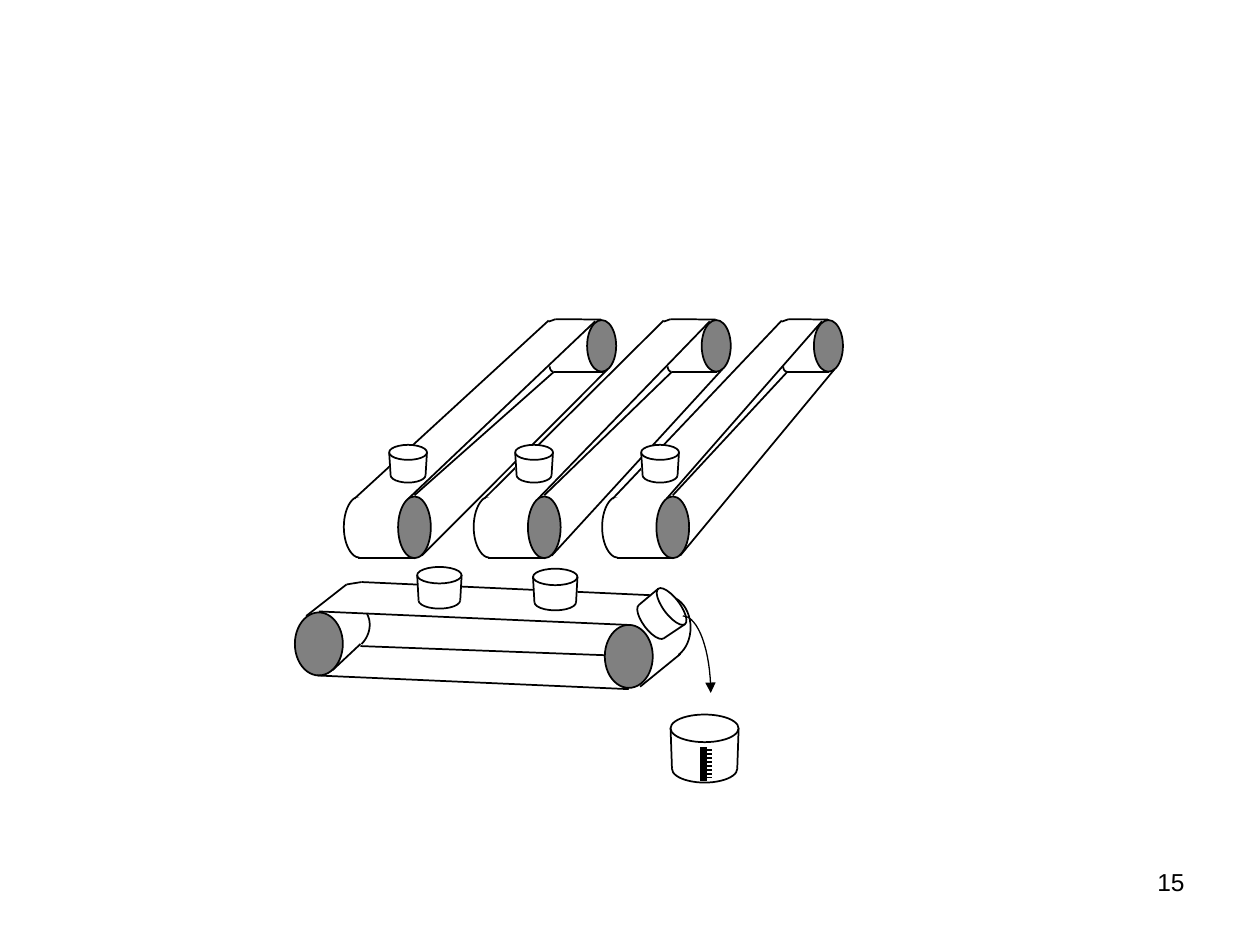
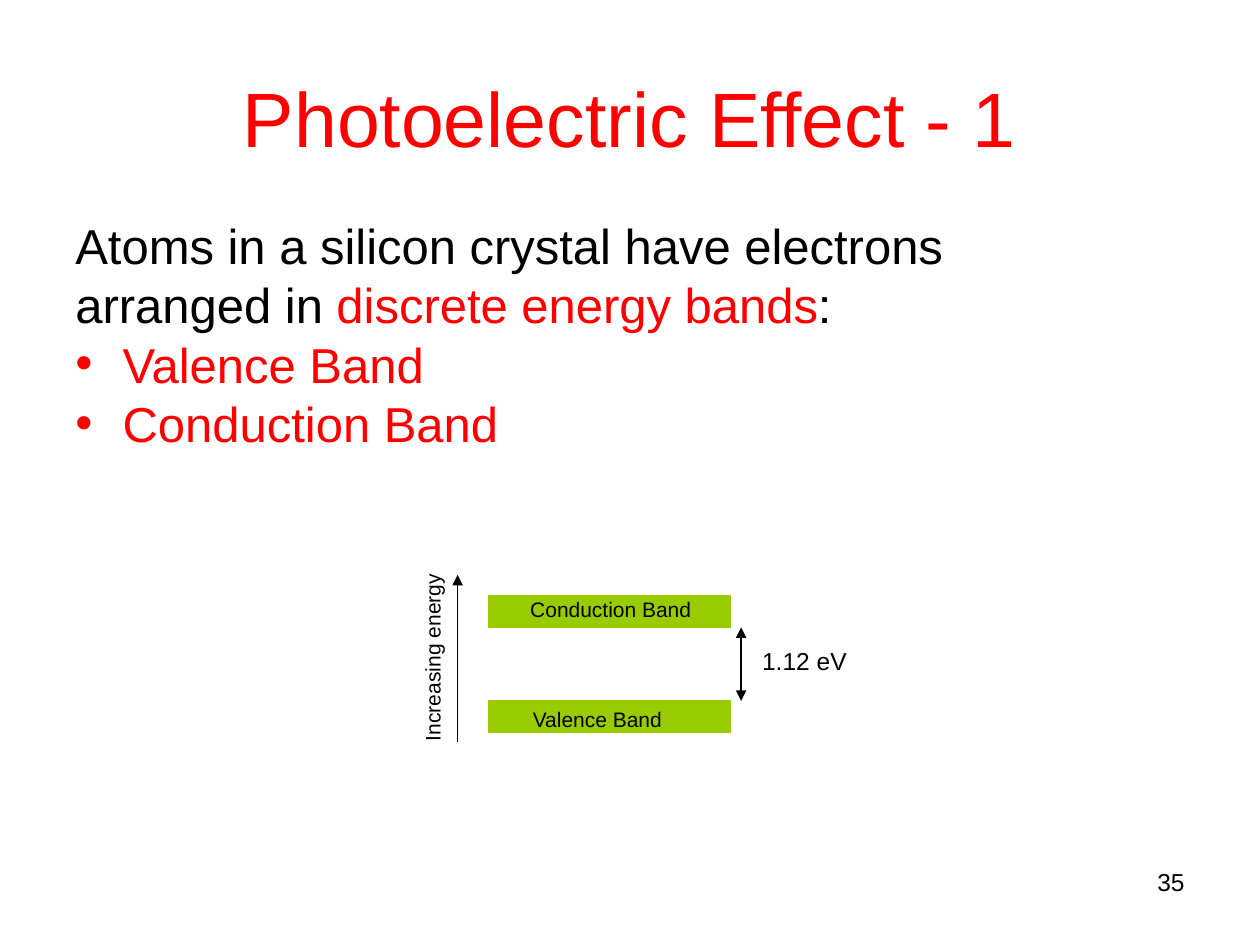
import dataclasses
import math
import typing

import lxml.etree
import pptx
import pptx.dml.color
import pptx.enum.shapes
import pptx.enum.text
import pptx.oxml.ns
import pptx.util

Pt = pptx.util.Pt
Align = pptx.enum.text.PP_ALIGN
Anchor = pptx.enum.text.MSO_ANCHOR
Preset = pptx.enum.shapes.MSO_SHAPE
Point = tuple[float, float]


@dataclasses.dataclass(frozen=True)
class Theme:
    font: str = "Arial"
    black: str = "000000"
    white: str = "FFFFFF"
    wheel: str = "808080"
    accent: str = "FF0000"
    band: str = "99CC00"
    title_size: float = 44
    body_size: float = 28
    number_size: float = 14
    label_size: float = 12
    outline: float = 1
    thin: float = 0.75


THEME = Theme()


@dataclasses.dataclass(frozen=True)
class Form:
    preset: typing.Any
    x: float
    y: float
    width: float
    height: float
    fill: str | None = None
    line: str | None = THEME.black
    weight: float = THEME.outline
    rotation: float = 0


@dataclasses.dataclass(frozen=True)
class Stroke:
    start: Point
    end: Point
    weight: float = THEME.outline
    head: bool = False
    tail: bool = False


@dataclasses.dataclass(frozen=True)
class Curve:
    controls: tuple[Point, Point, Point, Point]
    weight: float = THEME.outline
    tail: bool = False


@dataclasses.dataclass(frozen=True)
class Belt:
    front: float
    rear: float
    far: float
    inner: float


@dataclasses.dataclass(frozen=True)
class Cup:
    x: float
    y: float
    width: float
    height: float
    rim: float
    tilt: float = 0


Part = Form | Stroke | Curve


def rgb(color: str) -> pptx.dml.color.RGBColor:
    return pptx.dml.color.RGBColor.from_string(color)


def oval(x: float, y: float, width: float, height: float, fill: str | None = None) -> Form:
    return Form(Preset.OVAL, x, y, width, height, fill)


def mask(x: float, y: float, width: float, height: float) -> Form:
    return Form(Preset.RECTANGLE, x, y, width, height, THEME.white, None)


def style_line(shape, color: str, weight: float, head: bool = False, tail: bool = False) -> None:
    shape.line.color.rgb = rgb(color)
    shape.line.width = Pt(weight)
    for tag, shown in (("a:headEnd", head), ("a:tailEnd", tail)):
        if shown:
            arrow = lxml.etree.SubElement(shape.line._get_or_add_ln(), pptx.oxml.ns.qn(tag))
            arrow.set("type", "triangle")


def draw_form(page, form: Form) -> None:
    shape = page.shapes.add_shape(form.preset, Pt(form.x), Pt(form.y), Pt(form.width), Pt(form.height))
    shape.shadow.inherit = False
    shape.rotation = form.rotation
    if form.fill:
        shape.fill.solid()
        shape.fill.fore_color.rgb = rgb(form.fill)
    else:
        shape.fill.background()
    if form.line:
        style_line(shape, form.line, form.weight)
    else:
        shape.line.fill.background()


def draw_stroke(page, stroke: Stroke) -> None:
    ends = [Pt(value) for value in (*stroke.start, *stroke.end)]
    line = page.shapes.add_connector(pptx.enum.shapes.MSO_CONNECTOR.STRAIGHT, *ends)
    style_line(line, THEME.black, stroke.weight, stroke.head, stroke.tail)
    lxml.etree.SubElement(line._element.spPr, pptx.oxml.ns.qn("a:effectLst"))


def draw_curve(page, curve: Curve, steps: int = 16) -> None:
    points = []
    for step in range(steps + 1):
        t = step / steps
        weights = [math.comb(3, k) * t**k * (1 - t) ** (3 - k) for k in range(4)]
        points.append(tuple(Pt(sum(w * c[axis] for w, c in zip(weights, curve.controls))) for axis in (0, 1)))
    builder = page.shapes.build_freeform(*points[0])
    builder.add_line_segments(points[1:], close=False)
    shape = builder.convert_to_shape()
    shape.shadow.inherit = False
    shape.fill.background()
    style_line(shape, THEME.black, curve.weight, tail=curve.tail)


def draw(page, parts: typing.Iterable[Part]) -> None:
    painters = {Form: draw_form, Stroke: draw_stroke, Curve: draw_curve}
    for part in parts:
        painters[type(part)](page, part)


def write(para, text: str, *, size: float, color: str = THEME.black) -> None:
    span = para.add_run()
    span.text = text
    span.font.name = THEME.font
    span.font.size = Pt(size)
    span.font.color.rgb = rgb(color)


def add_box(page, x: float, y: float, width: float, height: float, *, wrap: bool = True, anchor=Anchor.TOP):
    box = page.shapes.add_textbox(Pt(x), Pt(y), Pt(width), Pt(height))
    box.text_frame.word_wrap = wrap
    box.text_frame.vertical_anchor = anchor
    return box


def add_text(page, text: str, x: float, y: float, width: float, height: float, *, size: float,
             color: str = THEME.black, align=Align.LEFT, anchor=Anchor.TOP,
             wrap: bool = True, rotation: float = 0) -> None:
    box = add_box(page, x, y, width, height, wrap=wrap, anchor=anchor)
    box.rotation = rotation
    para = box.text_frame.paragraphs[0]
    para.alignment = align
    write(para, text, size=size, color=color)


def add_page(deck, number: int):
    page = deck.slides.add_slide(deck.slide_layouts[6])
    add_text(page, str(number), 516, 492, 168, 37.5, size=THEME.number_size, align=Align.RIGHT)
    return page


def belt_parts(belt: Belt) -> list[Part]:
    front, rear, far, inner = belt.front, belt.rear, belt.far, belt.inner
    hook = inner + 2.2
    return [
        Stroke((front + 5.8, 285), (rear + 4.6, 183.6)),
        oval(front, 283.7, 18.7, 35.3, THEME.wheel),
        oval(front - 31, 283.5, 18.7, 35.3),
        mask(front - 22, 280.8, 16.6, 43.2),
        Stroke((front + 9.4, 319), (front - 22.7, 319)),
        mask(front - 30.2, 279.2, 13, 5),
        Stroke((front - 25, 285), (far - 4, 183.2)),
        oval(rear, 182.9, 16.6, 29.5, THEME.wheel),
        Stroke((rear + 8, 182.6), (far, 182.4)),
        Stroke((far - 4, 183.8), (far, 182.4)),
        Stroke((rear + 8.8, 212.4), (hook, 212.4)),
        Curve(((hook, 212.4), (inner + 0.8, 212.4), (inner, 211), (inner, 209.3))),
        Stroke((hook, 212.6), (front + 9.4, 283)),
    ]


def cross_belt_parts() -> list[Part]:
    return [
        oval(168.5, 350, 27.4, 36, THEME.wheel),
        Stroke((175, 352), (198, 334)),
        Stroke((198, 334), (206.6, 332.6)),
        oval(367.2, 340.6, 27.4, 36),
        mask(362.2, 335.5, 18.7, 49.7),
        oval(345.6, 357.1, 27.4, 36, THEME.wheel),
        Stroke((382.3, 340.6), (206.6, 332.6)),
        mask(376.6, 370, 10.8, 17.3),
        Stroke((365.8, 392.4), (388.8, 373.7)),
        Stroke((359.3, 393.8), (181.4, 386)),
        Stroke((206, 369.2), (345.6, 374.4)),
        Stroke((190, 383), (206, 368)),
        Curve(((207.4, 347.8), (213, 352.8), (212.4, 362.2), (206.6, 368))),
        mask(203.8, 345.6, 9.4, 5),
        Stroke((358.6, 357.1), (182.2, 349.4)),
    ]


def cup_parts(cup: Cup) -> list[Part]:
    middle = (cup.x + cup.width / 2, cup.y + cup.height / 2)
    angle = math.radians(cup.tilt)

    def turn(x: float, y: float) -> Point:
        return (middle[0] + x * math.cos(angle) - y * math.sin(angle),
                middle[1] + x * math.sin(angle) + y * math.cos(angle))

    def tilted(form: Form, offset: float) -> Form:
        x, y = turn(0, offset)
        return dataclasses.replace(form, x=x - form.width / 2, y=y - form.height / 2, rotation=cup.tilt)

    half = cup.width / 2
    reach = (cup.height - cup.rim) / 2
    return [
        tilted(oval(0, 0, cup.width - 1.6, cup.rim), reach),
        tilted(mask(0, 0, cup.width, 2 * reach), 0),
        tilted(oval(0, 0, cup.width, cup.rim, THEME.white), -reach),
        Stroke(turn(-half, -reach), turn(0.8 - half, reach)),
        Stroke(turn(half, -reach), turn(half - 0.8, reach)),
    ]


def conveyor_page(deck) -> None:
    page = add_page(deck, 15)
    belts = [
        Belt(301.7, 401, 383.2, 381.6),
        Belt(375.1, 465.1, 450.7, 447.6),
        Belt(227.5, 335.5, 317.5, 314.2),
    ]
    for belt in belts:
        draw(page, belt_parts(belt))
    draw(page, [Stroke((belt.front + 13.6, 317.5), (belt.rear + 11.8, 211)) for belt in belts])
    draw(page, cross_belt_parts())
    cups = [Cup(222.4 + 72 * index, 254.2, 21.6, 21.6, 8.6) for index in (2, 1, 0)]
    cups += [
        Cup(238.4, 324, 25.4, 23.8, 9.4),
        Cup(304.6, 325, 25.4, 23.8, 9.4),
        Cup(365.3, 339, 25.4, 23.8, 9.4, tilt=53.1),
        Cup(383.2, 408.3, 38.9, 38.9, 15.8),
    ]
    for cup in cups:
        draw(page, cup_parts(cup))
    draw(page, [Stroke((401.8, 427), (401.8, 446.4), 4)])
    draw(page, [Stroke((402.5, 428.6 + 2.25 * tick), (406.8, 428.6 + 2.25 * tick)) for tick in range(8)])
    draw(page, [Curve(((390.2, 352), (399, 352), (406.2, 372), (406.2, 396)), THEME.thin, tail=True)])


def add_statement(page) -> None:
    black, red = THEME.black, THEME.accent
    lines = [
        (False, [("Atoms in a silicon crystal have electrons", black)]),
        (False, [("arranged in ", black), ("discrete energy bands", red), (":", black)]),
        (True, [("Valence Band", red)]),
        (True, [("Conduction Band", red)]),
    ]
    frame = add_box(page, 36, 126, 648, 143.3).text_frame
    for index, (bulleted, spans) in enumerate(lines):
        para = frame.add_paragraph() if index else frame.paragraphs[0]
        para.line_spacing = 0.8
        para.space_before = Pt(7 if index else 0)
        properties = para._p.get_or_add_pPr()
        properties.set("marL", str(Pt(27)))
        properties.set("indent", str(-Pt(27)))
        if bulleted:
            tint = lxml.etree.SubElement(properties, pptx.oxml.ns.qn("a:buClr"))
            lxml.etree.SubElement(tint, pptx.oxml.ns.qn("a:srgbClr")).set("val", red)
            lxml.etree.SubElement(properties, pptx.oxml.ns.qn("a:buFont")).set("typeface", THEME.font)
            lxml.etree.SubElement(properties, pptx.oxml.ns.qn("a:buChar")).set("char", "•")
        for text, color in spans:
            write(para, text, size=THEME.body_size, color=color)


def photoelectric_page(deck) -> None:
    page = add_page(deck, 35)
    add_text(page, "Photoelectric Effect - 1", 36, 21.6, 648, 90, size=THEME.title_size,
             color=THEME.accent, align=Align.CENTER, anchor=Anchor.MIDDLE)
    add_statement(page)
    draw(page, [Form(Preset.RECTANGLE, 279.5, top, 138, 18, THEME.band, THEME.band, THEME.thin)
                for top in (400.5, 340.5)])
    draw(page, [Stroke((261.5, 424), (261.5, 328.5), THEME.thin, tail=True)])
    add_text(page, "Increasing energy", 189, 361.7, 116, 21.6,
             size=THEME.label_size, wrap=False, rotation=270)
    add_text(page, "Valence Band", 297.4, 400.3, 89.3, 21.6, size=THEME.label_size, wrap=False)
    add_text(page, "Conduction Band", 295.9, 337.2, 106.6, 21.6, size=THEME.label_size, wrap=False)
    draw(page, [Stroke((423.5, 358.5), (423.5, 400.5), 1.5, head=True, tail=True)])
    add_text(page, "1.12 eV", 428.4, 365.5, 66.2, 24.5, size=THEME.number_size, wrap=False)


def main() -> None:
    deck = pptx.Presentation()
    deck.slide_width, deck.slide_height = Pt(720), Pt(540)
    conveyor_page(deck)
    photoelectric_page(deck)
    deck.save("out.pptx")


if __name__ == "__main__":
    main()
